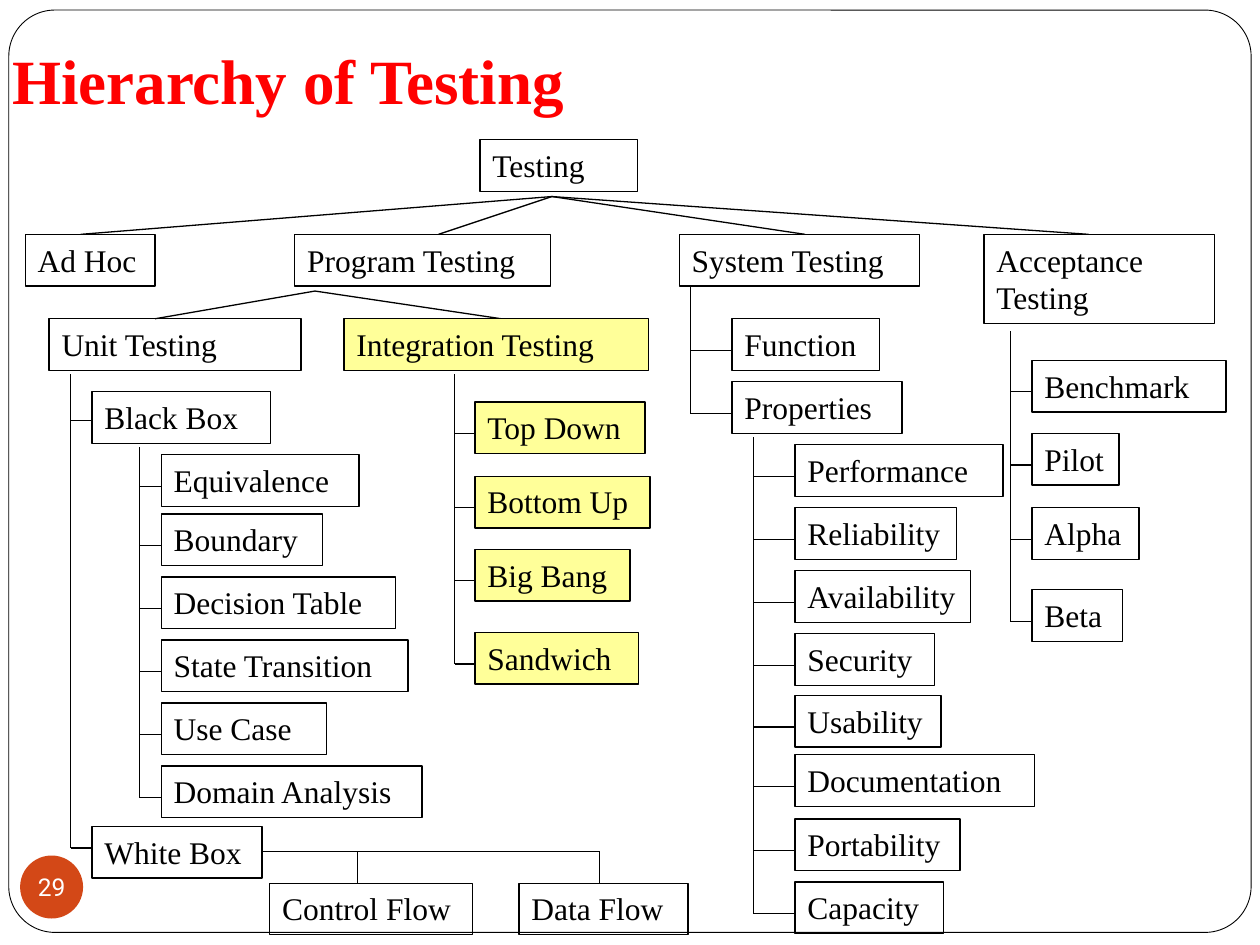
from dataclasses import dataclass

from lxml import etree
from pptx import Presentation
from pptx.dml.color import RGBColor
from pptx.enum.shapes import MSO_CONNECTOR, MSO_SHAPE
from pptx.enum.text import MSO_ANCHOR, PP_ALIGN
from pptx.oxml.ns import qn
from pptx.util import Inches, Pt

STRAIGHT = MSO_CONNECTOR.STRAIGHT
RECTANGLE = MSO_SHAPE.RECTANGLE
ROUNDED = MSO_SHAPE.ROUNDED_RECTANGLE
OVAL = MSO_SHAPE.OVAL
MIDDLE, TOP, BOTTOM = MSO_ANCHOR.MIDDLE, MSO_ANCHOR.TOP, MSO_ANCHOR.BOTTOM
LEFT, CENTER = PP_ALIGN.LEFT, PP_ALIGN.CENTER

COLORS = {
    "paper": "FFFFFF",
    "ink": "000000",
    "title": "FF0000",
    "highlight": "FFFF99",
    "badge": "D34817",
}
SERIF = "Times New Roman"
BOX_HEIGHT = 0.41


@dataclass
class Node:
    text: str
    left: float
    top: float
    width: float
    height: float = BOX_HEIGHT
    fill: str | None = None


@dataclass
class Leaf:
    text: str
    top: float
    width: float
    twig_drop: float = 0.25  # from the top of the box to its twig


@dataclass
class Branch:
    trunk_x: float
    trunk_top: float
    leaf_left: float
    leaves: list[Leaf]
    fill: str | None = None


@dataclass
class Fan:
    start: tuple[float, float]
    ends: list[tuple[float, float]]


NODES = [
    Node("Testing", 3.81, 1.11, 1.25),
    Node("Ad Hoc", 0.2, 1.86, 1.03),
    Node("Program Testing", 2.34, 1.86, 2.03),
    Node("System Testing", 5.39, 1.86, 1.91),
    Node("Acceptance\nTesting", 7.81, 1.86, 1.83, 0.71),
    Node("Unit Testing", 0.39, 2.53, 2),
    Node("Integration Testing", 2.73, 2.53, 2.42, fill="highlight"),
    Node("Control Flow", 2.14, 7.01, 1.61),
    Node("Data Flow", 4.12, 7.01, 1.34),
]

FANS = [
    Fan((4.38, 1.56), [(0.64, 1.86), (3.48, 1.86), (6.39, 1.86), (8.64, 1.86)]),
    Fan((2.5, 2.31), [(1.23, 2.53), (3.98, 2.53)]),
]

BRANCHES = [
    # Unit testing
    Branch(0.56, 2.97, 0.73, [
        Leaf("Black Box", 3.11, 1.42, 0.23),
        Leaf("White Box", 6.56, 1.35, 0.17),
    ]),
    # Black box
    Branch(1.11, 3.55, 1.28, [
        Leaf("Equivalence", 3.61, 1.57),
        Leaf("Boundary", 4.08, 1.28),
        Leaf("Decision Table", 4.58, 1.86),
        Leaf("State Transition", 5.08, 1.96),
        Leaf("Use Case", 5.58, 1.31),
        Leaf("Domain Analysis", 6.08, 2.07),
    ]),
    # Integration testing
    Branch(3.61, 2.97, 3.77, [
        Leaf("Top Down", 3.19, 1.35),
        Leaf("Bottom Up", 3.78, 1.39),
        Leaf("Big Bang", 4.36, 1.23),
        Leaf("Sandwich", 5.02, 1.3),
    ], "highlight"),
    # System testing
    Branch(5.48, 2.28, 5.81, [
        Leaf("Function", 2.53, 1.17),
        Leaf("Properties", 3.03, 1.35),
    ]),
    # Properties
    Branch(5.98, 3.47, 6.31, [
        Leaf("Performance", 3.53, 1.65),
        Leaf("Reliability", 4.03, 1.28),
        Leaf("Availability", 4.53, 1.39),
        Leaf("Security", 5.03, 1.11),
        Leaf("Usability", 5.52, 1.16),
        Leaf("Documentation", 5.99, 1.9),
        Leaf("Portability", 6.5, 1.31),
        Leaf("Capacity", 7, 1.18),
    ]),
    # Acceptance testing
    Branch(8.02, 2.63, 8.19, [
        Leaf("Benchmark", 2.86, 1.54),
        Leaf("Pilot", 3.44, 0.69),
        Leaf("Alpha", 4.03, 0.85),
        Leaf("Beta", 4.68, 0.72),
    ]),
]


def color(name: str) -> RGBColor:
    return RGBColor.from_string(COLORS[name])


def add_box(page, kind, left: float, top: float, width: float, height: float,
            fill: str | None, outline: float = 0):
    box = page.shapes.add_shape(kind, Inches(left), Inches(top), Inches(width), Inches(height))
    box.shadow.inherit = False
    if fill:
        box.fill.solid()
        box.fill.fore_color.rgb = color(fill)
    else:
        box.fill.background()
    if outline:
        box.line.color.rgb = color("ink")
        box.line.width = Pt(outline)
    else:
        box.line.fill.background()
    return box


def write(box, text: str, size: float, ink: str, font: str = SERIF, bold: bool = False,
          align=LEFT, anchor=TOP) -> None:
    frame = box.text_frame
    frame.word_wrap = True
    frame.vertical_anchor = anchor
    frame.text = text
    for para in frame.paragraphs:
        para.alignment = align
        para.font.name = font
        para.font.size = Pt(size)
        para.font.bold = bold
        para.font.color.rgb = color(ink)


def draw_line(page, x1: float, y1: float, x2: float, y2: float) -> None:
    line = page.shapes.add_connector(STRAIGHT, Inches(x1), Inches(y1), Inches(x2), Inches(y2))
    line.line.color.rgb = color("ink")
    line.line.width = Pt(0.75)
    etree.SubElement(line._element.spPr, qn("a:effectLst"))


def draw_node(page, node: Node) -> None:
    box = add_box(page, RECTANGLE, node.left, node.top, node.width, node.height, node.fill, 0.75)
    box.text_frame.margin_right = 0
    write(box, node.text, 18, "ink")


def draw_branch(page, branch: Branch) -> None:
    twigs = [leaf.top + leaf.twig_drop for leaf in branch.leaves]
    draw_line(page, branch.trunk_x, branch.trunk_top, branch.trunk_x, twigs[-1])
    for leaf, y in zip(branch.leaves, twigs):
        draw_line(page, branch.trunk_x, y, branch.leaf_left, y)
        draw_node(page, Node(leaf.text, branch.leaf_left, leaf.top, leaf.width, fill=branch.fill))


def main() -> None:
    deck = Presentation()
    deck.slide_width, deck.slide_height = Inches(10), Inches(7.5)
    page = deck.slides.add_slide(deck.slide_layouts[6])

    # Frame, page number and title
    frame = add_box(page, ROUNDED, 0.07, 0.08, 9.86, 7.32, "paper", 0.5)
    frame.adjustments[0] = 0.05
    badge = add_box(page, OVAL, 0.16, 6.79, 0.5, 0.5, "badge")
    badge.text_frame.margin_left = badge.text_frame.margin_right = 0
    badge.text_frame.margin_top = badge.text_frame.margin_bottom = 0
    write(badge, "29", 14, "paper", "Roboto", align=CENTER, anchor=MIDDLE)
    title = page.shapes.add_textbox(Inches(0), Inches(0.45), Inches(8.5), Inches(0.58))
    title.text_frame.margin_bottom = Inches(0.1)
    write(title, "Hierarchy of Testing", 36, "title", bold=True, anchor=BOTTOM)

    # Tree
    for fan in FANS:
        for end in fan.ends:
            draw_line(page, *fan.start, *end)
    for node in NODES:
        draw_node(page, node)
    for branch in BRANCHES:
        draw_branch(page, branch)

    # White box rail with its two drops
    draw_line(page, 2.09, 6.76, 4.76, 6.76)
    for x in (2.84, 4.76):
        draw_line(page, x, 6.76, x, 7.01)

    deck.save("out.pptx")


if __name__ == "__main__":
    main()
